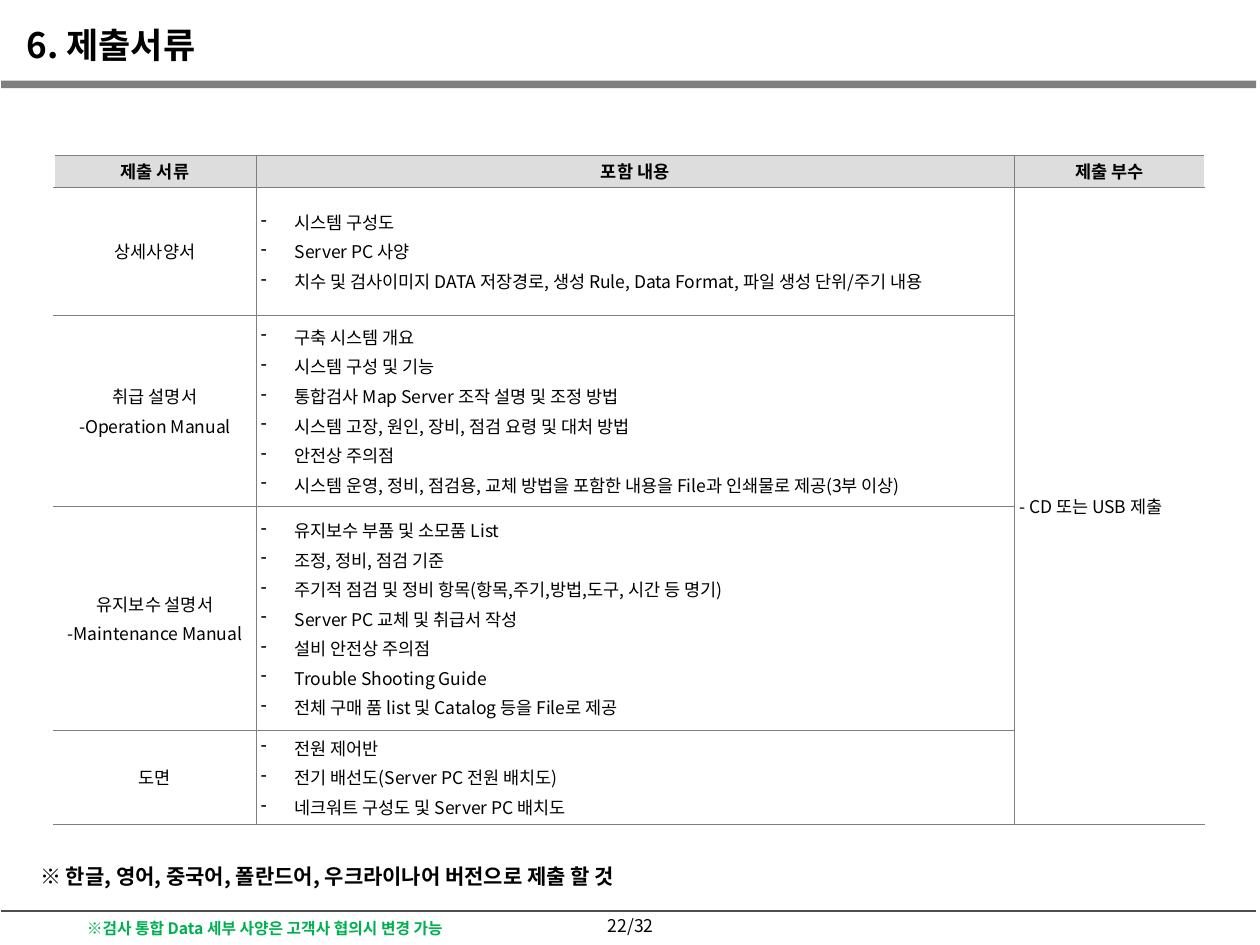
"""Build the slide that lists the documents to submit."""
from dataclasses import dataclass

from lxml.etree import SubElement
from pptx import Presentation
from pptx.dml.color import RGBColor
from pptx.enum.shapes import MSO_CONNECTOR, MSO_SHAPE
from pptx.enum.text import MSO_ANCHOR as Anchor, PP_ALIGN as Align
from pptx.oxml.ns import qn
from pptx.util import Inches, Pt

FONT = "Noto Sans CJK KR"
BLACK = RGBColor(0x00, 0x00, 0x00)
GRAY = RGBColor(0x7F, 0x7F, 0x7F)
DARK_GRAY = RGBColor(0x4D, 0x4D, 0x4D)
HEADER_GRAY = RGBColor(0xDD, 0xDD, 0xDD)
GREEN = RGBColor(0x00, 0xB0, 0x50)


@dataclass(frozen=True)
class Style:
    size: float = 10
    bold: bool = False
    color: RGBColor = BLACK
    align: Align = Align.LEFT
    dashed: bool = False


@dataclass(frozen=True)
class Note:
    text: str
    box: tuple[float, float, float, float]
    style: Style


@dataclass(frozen=True)
class Document:
    names: list[str]
    contents: list[str]
    height: float


HEADINGS = ["제출 서류", "포함 내용", "제출 부수"]
HEADING_HEIGHT = 0.26
COLUMN_WIDTHS = [1.6, 6.02, 1.51]
DELIVERY = "- CD 또는 USB 제출"
DOCUMENTS = [
    Document(["상세사양서"], [
        "시스템 구성도",
        "Server PC 사양",
        "치수 및 검사이미지 DATA 저장경로, 생성 Rule, Data Format, 파일 생성 단위/주기 내용",
    ], 1.01),
    Document(["취급 설명서", "-Operation Manual"], [
        "구축 시스템 개요",
        "시스템 구성 및 기능",
        "통합검사 Map Server 조작 설명 및 조정 방법",
        "시스템 고장, 원인, 장비, 점검 요령 및 대처 방법",
        "안전상 주의점",
        "시스템 운영, 정비, 점검용, 교체 방법을 포함한 내용을 File과 인쇄물로 제공(3부 이상)",
    ], 1.52),
    Document(["유지보수 설명서", "-Maintenance Manual"], [
        "유지보수 부품 및 소모품 List",
        "조정, 정비, 점검 기준",
        "주기적 점검 및 정비 항목(항목,주기,방법,도구, 시간 등 명기)",
        "Server PC 교체 및 취급서 작성",
        "설비 안전상 주의점",
        "Trouble Shooting Guide",
        "전체 구매 품 list 및 Catalog 등을 File로 제공",
    ], 1.78),
    Document(["도면"], [
        "전원 제어반",
        "전기 배선도(Server PC 전원 배치도)",
        "네크워트 구성도 및 Server PC 배치도",
    ], 0.74),
]
NOTES = [
    Note("※ 한글, 영어, 중국어, 폴란드어, 우크라이나어 버전으로 제출 할 것",
         (0.22, 6.8, 5.6, 0.3), Style(12, True)),
    Note("※검사 통합 Data 세부 사양은 고객사 협의시 변경 가능",
         (0.59, 7.24, 3.45, 0.25), Style(9, True, GREEN)),
    Note("22/32", (4.48, 7.22, 1.05, 0.25), Style(align=Align.CENTER)),
]


def write(frame, lines: list[str], style: Style) -> None:
    """Fill a text frame with one paragraph per line."""
    for index, line in enumerate(lines):
        paragraph = frame.paragraphs[0] if index == 0 else frame.add_paragraph()
        paragraph.alignment = style.align
        if index:
            paragraph.space_before = Pt(2.5)
        if style.dashed:
            properties = paragraph._p.get_or_add_pPr()
            properties.set("marL", str(Inches(0.27)))
            properties.set("indent", str(Inches(-0.27)))
            SubElement(properties, qn("a:buChar"), char="-")
        run = paragraph.add_run()
        run.text = line
        run.font.color.rgb = style.color
        formats = {"size": Pt(style.size), "bold": style.bold, "name": FONT}
        for name, value in formats.items():
            setattr(run.font, name, value)
        SubElement(run._r.get_or_add_rPr(), qn("a:ea"), typeface=FONT)


def place(shape, box: tuple[float, float, float, float]) -> None:
    """Move and size a shape in inches."""
    for name, value in zip(("left", "top", "width", "height"), box):
        setattr(shape, name, Inches(value))


def add_note(slide, note: Note) -> None:
    """Add a single-line text box."""
    frame = slide.shapes.add_textbox(*map(Inches, note.box)).text_frame
    frame.word_wrap = True
    frame.vertical_anchor = Anchor.MIDDLE
    write(frame, [note.text], note.style)


def add_rules(slide) -> None:
    """Add the bar under the title and the line above the footer."""
    bar = slide.shapes.add_shape(
        MSO_SHAPE.RECTANGLE, *map(Inches, (0.01, 0.64, 9.96, 0.06)))
    bar.shadow.inherit = False
    bar.fill.solid()
    bar.fill.fore_color.rgb = GRAY
    bar.line.fill.background()
    footer_line = slide.shapes.add_connector(
        MSO_CONNECTOR.STRAIGHT, *map(Inches, (0.01, 7.23, 9.97, 7.23)))
    footer_line.line.color.rgb = DARK_GRAY
    footer_line.line.width = Pt(0.75)
    SubElement(footer_line._element.spPr, qn("a:effectLst"))


def add_borders(cell, sides: str) -> None:
    """Draw thin gray borders on the given sides, in L, R, T, B order."""
    properties = cell._tc.get_or_add_tcPr()
    for position, side in enumerate(sides):
        border = SubElement(properties, qn(f"a:ln{side}"), w=str(Pt(0.34)))
        fill = SubElement(border, qn("a:solidFill"))
        SubElement(fill, qn("a:srgbClr"), val=str(GRAY))
        properties.insert(position, border)


def add_document_table(slide) -> None:
    """Add the table of documents, contents and delivery."""
    heights = [HEADING_HEIGHT, *(document.height for document in DOCUMENTS)]
    table = slide.shapes.add_table(
        len(heights), len(COLUMN_WIDTHS), Inches(0.43), Inches(1.23),
        Inches(sum(COLUMN_WIDTHS)), Inches(sum(heights))).table
    table.horz_banding = False
    for column, width in zip(table.columns, COLUMN_WIDTHS):
        column.width = Inches(width)
    for row, height in zip(table.rows, heights):
        row.height = Inches(height)
        for cell, sides in zip(row.cells, ("RTB", "LRTB", "LTB")):
            margins = {"margin_left": 0.04, "margin_right": 0.04,
                       "margin_top": 0.03, "margin_bottom": 0.03}
            for name, value in margins.items():
                setattr(cell, name, Inches(value))
            cell.vertical_anchor = Anchor.MIDDLE
            cell.fill.background()
            add_borders(cell, sides)

    for column, heading in enumerate(HEADINGS):
        cell = table.cell(0, column)
        cell.fill.solid()
        cell.fill.fore_color.rgb = HEADER_GRAY
        write(cell.text_frame, [heading], Style(bold=True, align=Align.CENTER))
    for row, document in enumerate(DOCUMENTS, start=1):
        write(table.cell(row, 0).text_frame, document.names, Style(align=Align.CENTER))
        write(table.cell(row, 1).text_frame, document.contents, Style(dashed=True))
    delivery = table.cell(1, 2)
    delivery.merge(table.cell(len(DOCUMENTS), 2))
    write(delivery.text_frame, [DELIVERY], Style())


def main() -> None:
    """Build and save the slide."""
    deck = Presentation()
    deck.slide_width, deck.slide_height = Inches(10), Inches(7.5)
    slide = deck.slides.add_slide(deck.slide_layouts[5])
    title = slide.shapes.title
    place(title, (0.11, 0.13, 4.03, 0.44))
    title.text_frame.vertical_anchor = Anchor.MIDDLE
    write(title.text_frame, ["6. 제출서류"], Style(20, True))
    add_rules(slide)
    add_document_table(slide)
    for note in NOTES:
        add_note(slide, note)
    deck.save("out.pptx")


if __name__ == "__main__":
    main()
